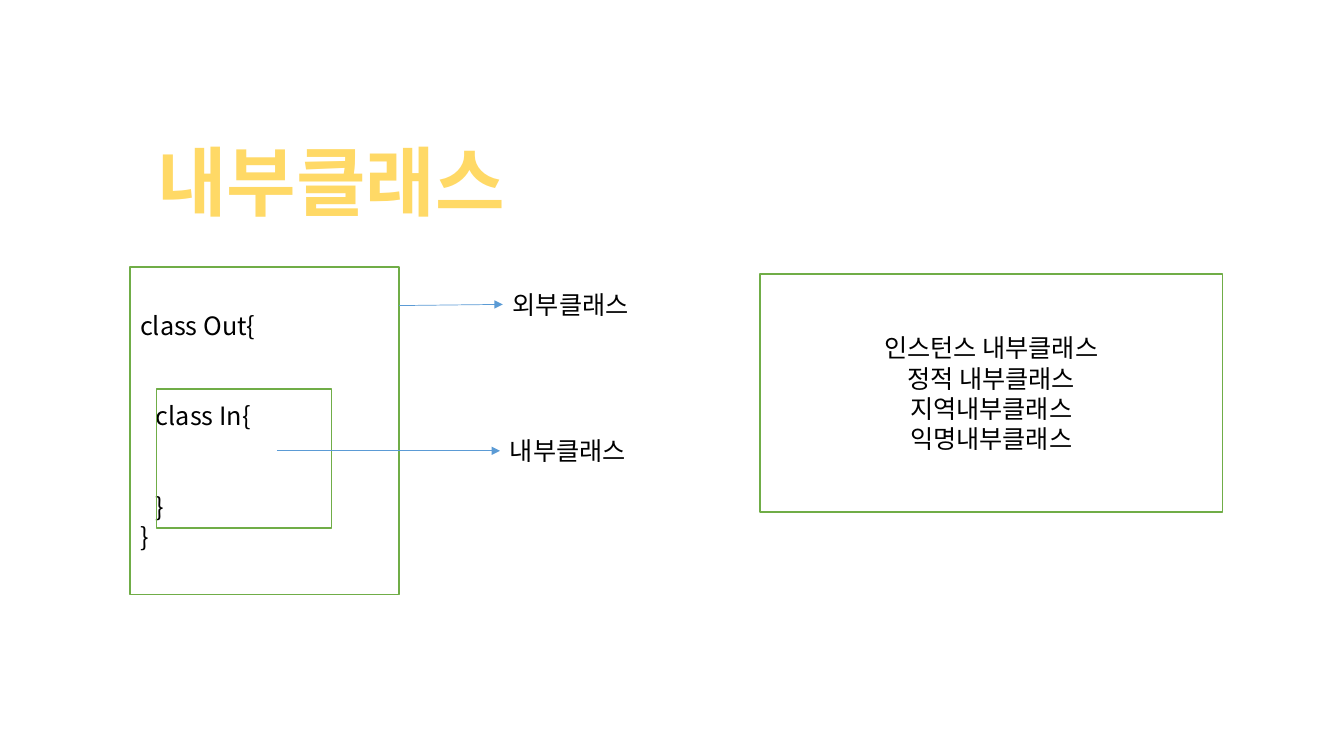
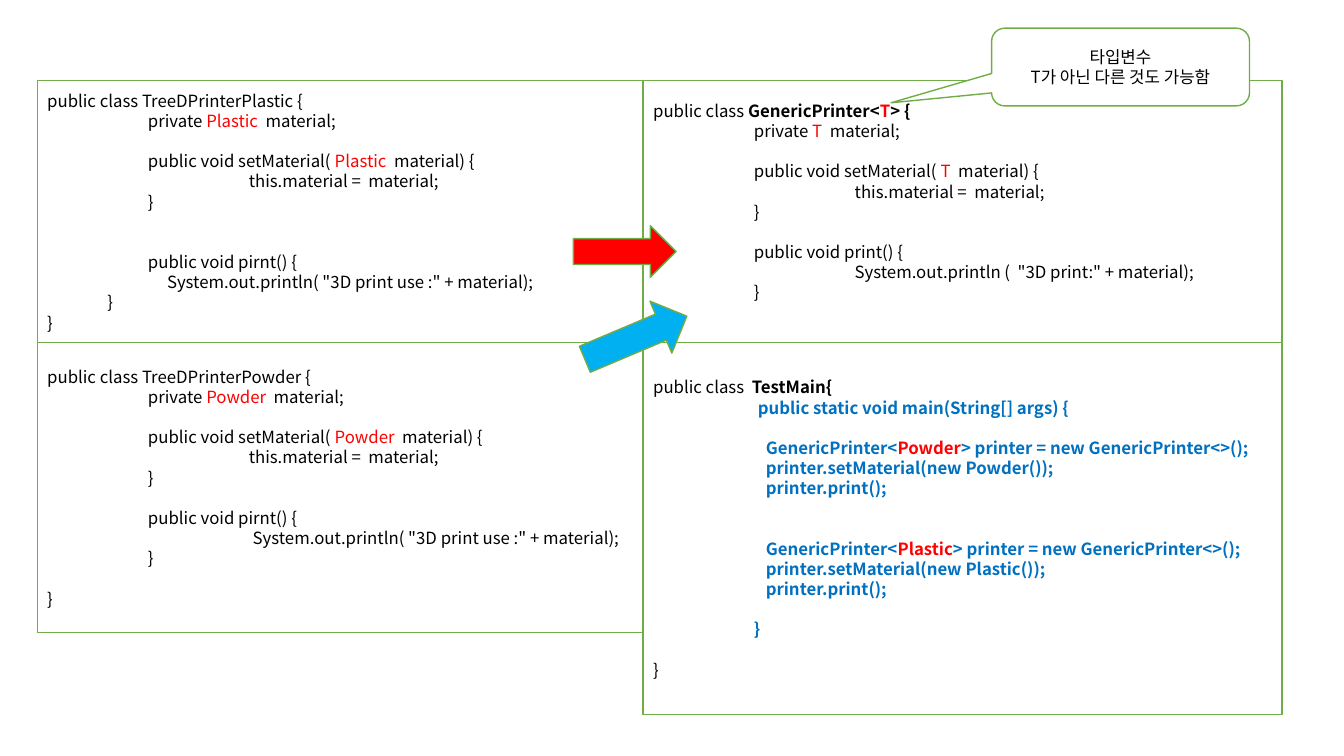
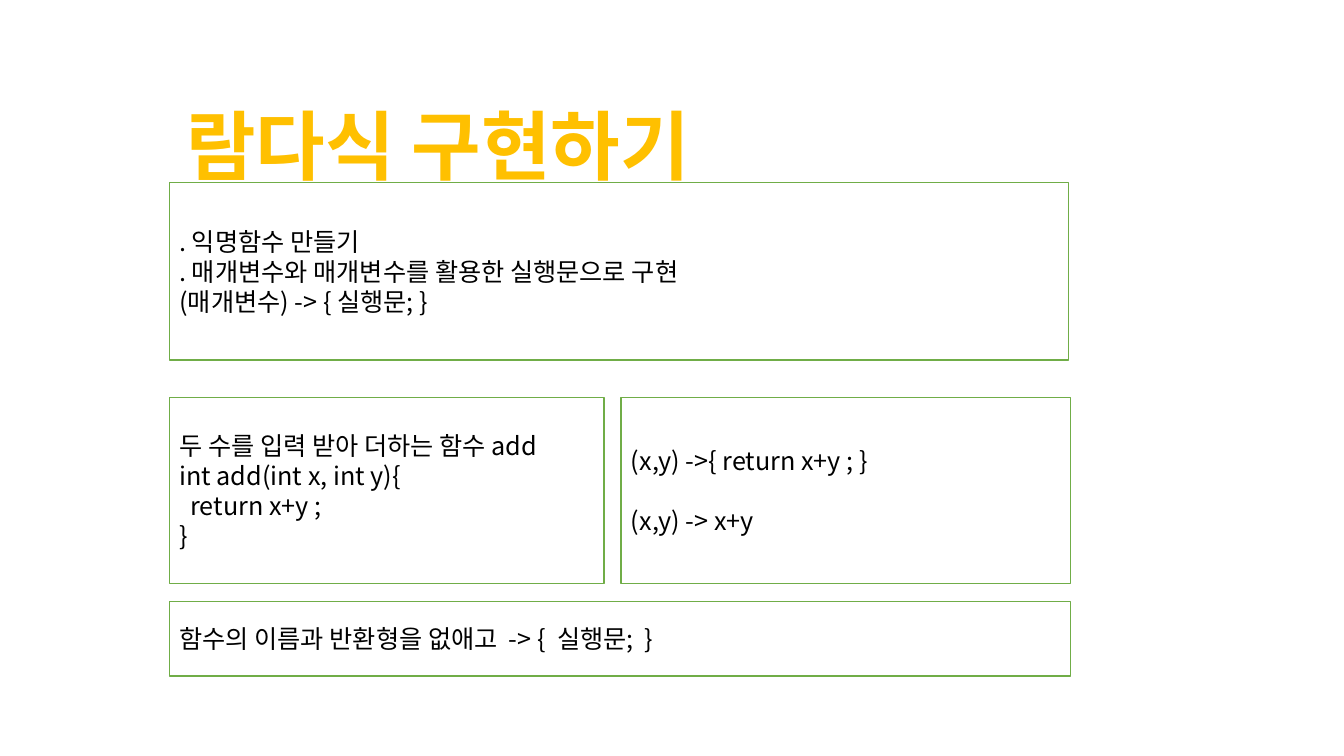
from dataclasses import dataclass

from lxml import etree
from pptx import Presentation
from pptx import util as u
from pptx.dml.color import RGBColor
from pptx.enum import shapes, text
from pptx.oxml import ns

# Shared style
COLORS = {
    "white": "FFFFFF",
    "black": "000000",
    "green": "70AD47",
    "arrow": "5B9BD5",
    "red": "FF0000",
    "sky": "00B0F0",
    "code": "0070C0",
    "gold": "FFC000",
    "pale_gold": "FFD966",
}
FONT = "Noto Sans CJK KR"
TITLE_SIZE, BODY_SIZE, CODE_SIZE = 54, 18, 12
LINE_PITCH = 1.2
TAB = 2.54
LEFT, CENTER = text.PP_ALIGN.LEFT, text.PP_ALIGN.CENTER
SHAPE = shapes.MSO_SHAPE


@dataclass(frozen=True)
class Area:
    """A rectangle in centimetres."""
    left: float
    top: float
    width: float
    height: float

    def lengths(self) -> tuple:
        return tuple(u.Cm(value) for value in
                     (self.left, self.top, self.width, self.height))


@dataclass(frozen=True)
class Span:
    text: str
    color: str = "black"
    bold: bool = False


@dataclass(frozen=True)
class Line:
    """One paragraph: indent in centimetres, gap in lines above it."""
    spans: tuple
    indent: float = 0
    gap: int = 0


def line(*parts, indent: float = 0, gap: int = 0) -> Line:
    spans = tuple(Span(part) if isinstance(part, str) else part for part in parts)
    return Line(spans, indent, gap)


def rgb(name: str) -> RGBColor:
    return RGBColor.from_string(COLORS[name])


# Drawing functions
def write(box, lines, *, size: int = BODY_SIZE, align=LEFT,
          anchor=text.MSO_ANCHOR.MIDDLE) -> None:
    frame = box.text_frame
    frame.word_wrap = True
    frame.vertical_anchor = anchor
    for index, item in enumerate(lines):
        para = frame.add_paragraph() if index else frame.paragraphs[0]
        para.alignment = align
        if item.gap:
            para.space_before = u.Pt(round(item.gap * size * LINE_PITCH, 1))
        if item.indent:
            properties = para._p.get_or_add_pPr()
            properties.set("marL", str(u.Cm(item.indent)))
            properties.set("indent", "0")
        for part in item.spans:
            span = para.add_run()
            span.text = part.text
            span.font.size = u.Pt(size)
            span.font.name = FONT
            span.font.bold = part.bold
            span.font.color.rgb = rgb(part.color)
            east_asian = etree.SubElement(span.font._element, ns.qn("a:ea"))
            east_asian.set("typeface", FONT)


def add_box(page, area: Area, lines=(), *, kind=SHAPE.RECTANGLE,
            fill: str | None = "white", rotation: float = 0, **style):
    box = page.shapes.add_shape(kind, *area.lengths())
    box.shadow.inherit = False
    box.rotation = rotation
    if fill:
        box.fill.solid()
        box.fill.fore_color.rgb = rgb(fill)
    else:
        box.fill.background()
    box.line.color.rgb = rgb("green")
    box.line.width = u.Pt(1)
    if lines:
        write(box, lines, **style)
    return box


def add_label(page, area: Area, content: str, *, size: int = BODY_SIZE,
              color: str = "black", bold: bool = False, align=LEFT):
    label = page.shapes.add_textbox(*area.lengths())
    write(label, [line(Span(content, color, bold))], size=size, align=align,
          anchor=text.MSO_ANCHOR.TOP)
    return label


def add_title(page, area: Area, content: str, color: str) -> None:
    add_label(page, area, content, size=TITLE_SIZE, color=color, bold=True,
              align=CENTER)


def add_arrow(page, left: float, top: float, label) -> None:
    """Draw an arrow from a point to the left side of a label."""
    start = u.Cm(left), u.Cm(top)
    arrow = page.shapes.add_connector(shapes.MSO_CONNECTOR.STRAIGHT, *start, *start)
    arrow.end_connect(label, 1)
    arrow.line.color.rgb = rgb("arrow")
    arrow.line.width = u.Pt(0.5)
    head = etree.SubElement(arrow.line._get_or_add_ln(), ns.qn("a:tailEnd"))
    head.set("type", "triangle")
    etree.SubElement(arrow._element.spPr, ns.qn("a:effectLst"))


# Code listings
def printer_class(header: tuple, material: str, *, method: str, output: str,
                  method_gap: int = 1, output_indent: float = 2 * TAB,
                  close_indent: float = TAB, end_gap: int = 0) -> list[Line]:
    kind = Span(material, "red")
    return [
        line(*header),
        line("private ", kind, "  material;", indent=TAB),
        line("public void setMaterial( ", kind, "  material) {", indent=TAB, gap=1),
        line("this.material =  material;", indent=2 * TAB),
        line("}", indent=TAB),
        line(f"public void {method}() {{", indent=TAB, gap=method_gap),
        line(output, indent=output_indent),
        line("}", indent=close_indent),
        line("}", gap=end_gap),
    ]


def printer_use(material: str, gap: int) -> list[Line]:
    indent = TAB + 0.3

    def code(content: str) -> Span:
        return Span(content, "code", True)

    return [
        line(code("GenericPrinter<"), Span(material, "red", True),
             code("> printer = new GenericPrinter<>();"), indent=indent, gap=gap),
        line(code(f"printer.setMaterial(new {material}());"), indent=indent),
        line(code("printer.print();"), indent=indent),
    ]


# Slides
def draw_inner_class(page) -> None:
    add_title(page, Area(3.28, 3.28, 10.13, 2.57), "내부클래스", "pale_gold")
    add_box(page, Area(3.28, 6.73, 6.78, 8.26), [
        line("class Out{"),
        line("class In{", indent=0.4, gap=2),
        line("}", indent=0.4, gap=2),
        line("}"),
    ])
    add_box(page, Area(3.94, 9.8, 4.42, 3.51), fill=None)

    outer = add_label(page, Area(12.67, 7.16, 7.39, 1.02), "외부클래스")
    add_arrow(page, 10.06, 7.7, outer)
    inner = add_label(page, Area(12.6, 10.85, 7.39, 1.02), "내부클래스")
    add_arrow(page, 6.98, 11.36, inner)

    kinds = ("인스턴스 내부클래스", "정적 내부클래스", "지역내부클래스", "익명내부클래스")
    add_box(page, Area(19.15, 6.91, 11.66, 5.99), [line(kind) for kind in kinds],
            align=CENTER)


def draw_generic(page) -> None:
    left, middle, right = 0.94, 16.21, 32.31
    top, split = 2.03, 8.63
    left_width, right_width, upper = middle - left, right - middle, split - top
    use_output = 'System.out.println( "3D print use :" + material);'

    generic = printer_class(
        ("public class ", Span("GenericPrinter<", bold=True),
         Span("T", "red", True), Span("> {", bold=True)),
        "T", method="print",
        output='System.out.println (  "3D print:" + material);')
    plastic = printer_class(
        ("public class TreeDPrinterPlastic {",), "Plastic", method="pirnt",
        output=use_output, method_gap=2, output_indent=TAB + 0.48,
        close_indent=1.52)
    powder = printer_class(
        ("public class TreeDPrinterPowder {",), "Powder", method="pirnt",
        output=use_output, output_indent=2 * TAB + 0.1, end_gap=1)
    test_main = [
        line("public class  ", Span("TestMain{", bold=True)),
        line(Span("public static void main(String[] args) {", "code", True),
             indent=TAB + 0.1),
        *printer_use("Powder", gap=1),
        *printer_use("Plastic", gap=2),
        line(Span("}", "code", True), indent=TAB, gap=1),
        line("}", gap=1),
    ]
    for area, lines in (
        (Area(middle, top, right_width, upper), generic),
        (Area(left, top, left_width, upper), plastic),
        (Area(left, split, left_width, 7.31), powder),
        (Area(middle, split, right_width, 9.37), test_main),
    ):
        add_box(page, area, lines, size=CODE_SIZE)

    # Arrows from both classes to the generic one
    add_box(page, Area(14.45, 5.69, 2.59, 1.3), kind=SHAPE.RIGHT_ARROW, fill="red")
    add_box(page, Area(14.63, 7.8, 2.79, 1.42), kind=SHAPE.RIGHT_ARROW, fill="sky",
            rotation=337.1)

    callout = add_box(page, Area(24.99, 0.71, 6.5, 1.96),
                      [line("타입변수"), line("T가 아닌 다른 것도 가능함")],
                      kind=SHAPE.ROUNDED_RECTANGULAR_CALLOUT,
                      size=CODE_SIZE, align=CENTER)
    for index, value in enumerate((-0.89, 0.46, 0.17)):
        callout.adjustments[index] = value


def draw_lambda(page) -> None:
    left = 4.27
    add_title(page, Area(3.71, 2.36, 14.66, 2.57), "람다식 구현하기", "gold")
    add_box(page, Area(left, 4.6, 22.66, 4.47), [
        line(". 익명함수 만들기"),
        line(". 매개변수와 매개변수를 활용한 실행문으로 구현"),
        line("(매개변수) -> { 실행문; }"),
    ])
    add_box(page, Area(left, 10.01, 10.95, 4.7), [
        line("두 수를 입력 받아 더하는 함수 add"),
        line("int add(int x, int y){"),
        line("return x+y ;", indent=0.28),
        line("}"),
    ])
    add_box(page, Area(15.65, 10.01, 11.33, 4.7), [
        line("(x,y) ->{ return x+y ; }"),
        line("(x,y) -> x+y", gap=1),
    ])
    add_box(page, Area(left, 15.16, 22.71, 1.88),
            [line("함수의 이름과 반환형을 없애고  -> {  실행문;  }")])


def main() -> None:
    deck = Presentation()
    deck.slide_width, deck.slide_height = u.Cm(33.87), u.Cm(19.05)
    for draw in (draw_inner_class, draw_generic, draw_lambda):
        draw(deck.slides.add_slide(deck.slide_layouts[6]))
    deck.save("out.pptx")


if __name__ == "__main__":
    main()
